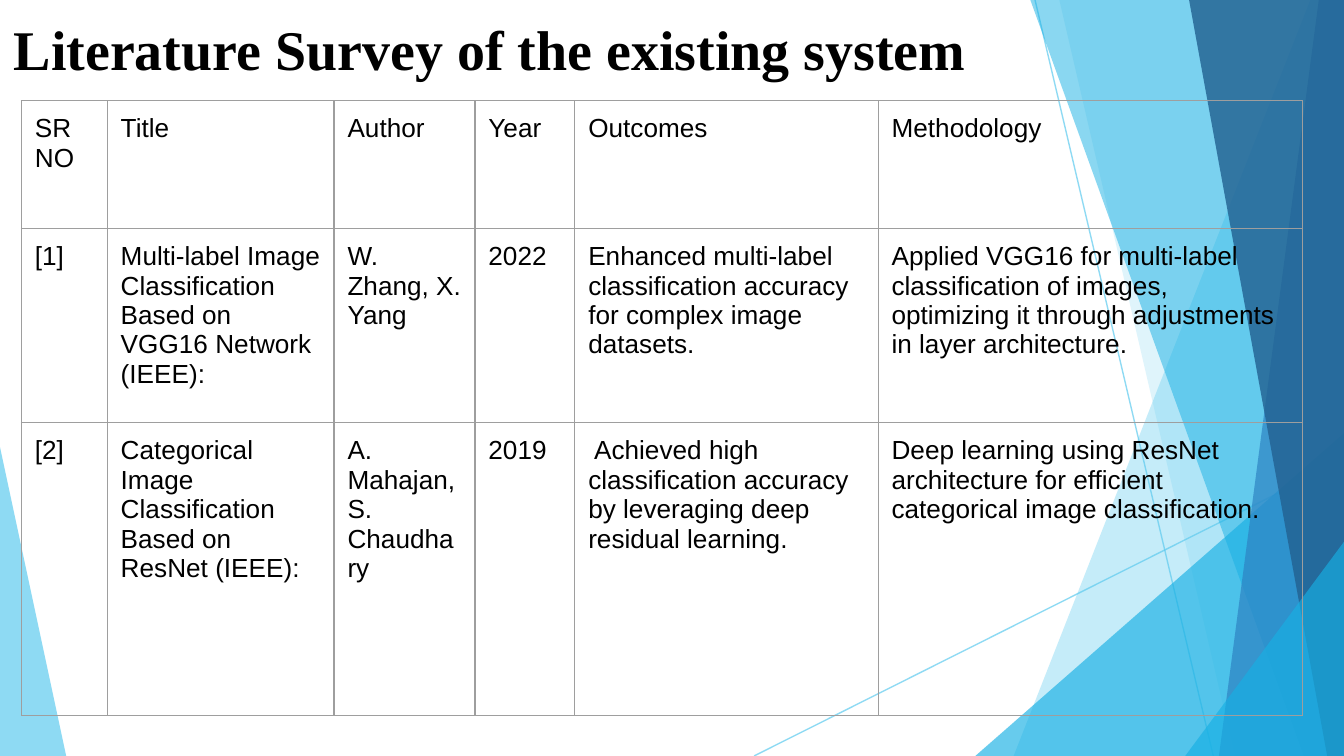
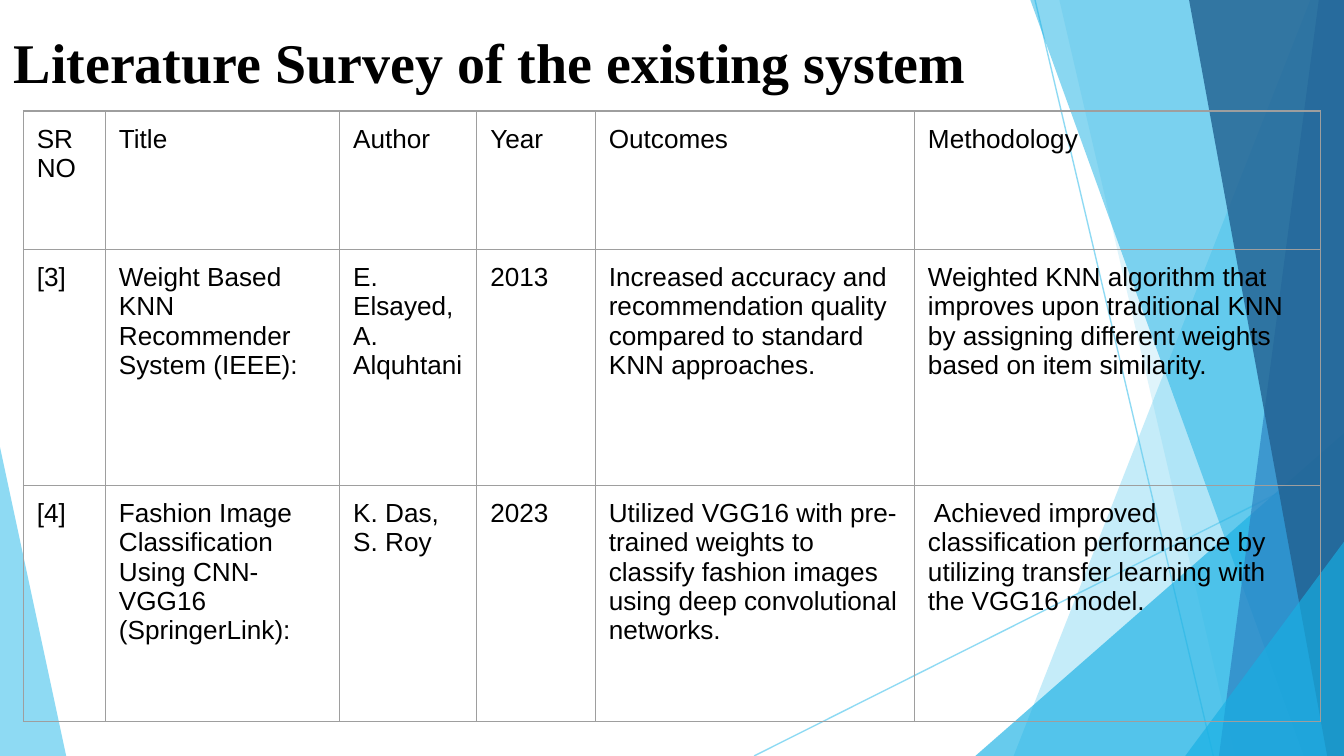
from pptx import Presentation
from pptx.dml.color import RGBColor
from pptx.enum.shapes import MSO_CONNECTOR
from pptx.enum.text import MSO_ANCHOR
from pptx.oxml import parse_xml
from pptx.oxml.ns import nsdecls, qn
from pptx.util import Pt
from lxml.etree import SubElement

WIDE, HIGH = 720, 405
SKY, CYAN, BLUE, NAVY = "5FCBEF", "17B0E4", "2E83C3", "236292"
BLACK, GREY = "000000", "9E9E9E"
TITLE = " Literature Survey of the existing system"
HEAD = ["SR NO", "Title", "Author", "Year", "Outcomes", "Methodology"]

EDGE = 721
LEAF = (SKY, 70, [(-0.5, 237), (35.5, HIGH), (-0.5, HIGH)])
RAYS = [((404, HIGH), (EDGE, 246)), ((554.5, 0), (650, HIGH))]
BANDS = [
    (SKY, 36, [(702, 0), (543, HIGH), (EDGE, HIGH), (EDGE, 0)]),
    (SKY, 20, [(567.5, 0), (661.5, HIGH), (EDGE, HIGH), (EDGE, 0)]),
    (CYAN, 65, [(522.5, HIGH), (720, 232), (EDGE, HIGH)]),
    (CYAN, 50, [(552, 0), (698.5, HIGH), (EDGE, HIGH), (EDGE, 0)]),
    (BLUE, 70, [(706.5, 0), (653, HIGH), (EDGE, HIGH), (EDGE, 0)]),
    (NAVY, 82, [(637, 0), (711, HIGH), (EDGE, HIGH), (EDGE, 0)]),
    (CYAN, 65, [(635, HIGH), (EDGE, 289), (EDGE, HIGH)]),
]

PAGES = [
    {
        "top": -7,
        "at": (11.5, 54),
        "cols": [46, 121.5, 75.5, 53.5, 162.5, 227.5],
        "rows": [68.5, 104, 157],
        "body": [
            ["[1]",
             "Multi-label Image Classification Based on VGG16 Network (IEEE):",
             "W. Zhang, X. Yang", "2022",
             "Enhanced multi-label classification accuracy for complex image datasets.",
             "Applied VGG16 for multi-label classification of images, optimizing it "
             "through adjustments in layer architecture."],
            ["[2]",
             "Categorical Image Classification Based on ResNet (IEEE):",
             "A. Mahajan, S. Chaudhary", "2019",
             " Achieved high classification accuracy by leveraging deep residual learning.",
             "Deep learning using ResNet architecture for efficient categorical image "
             "classification."],
        ],
    },
    {
        "top": 0,
        "at": (12.5, 59.5),
        "cols": [44, 125.5, 73.5, 63.5, 171, 217.5],
        "rows": [74, 126.5, 126.5],
        "body": [
            ["[3]",
             "Weight Based KNN Recommender System (IEEE):",
             "E. Elsayed, A. Alquhtani", "2013",
             "Increased accuracy and recommendation quality compared to standard KNN "
             "approaches.",
             "Weighted KNN algorithm that improves upon traditional KNN by assigning "
             "different weights based on item similarity."],
            ["[4]",
             "Fashion Image Classification Using CNN-VGG16 (SpringerLink):",
             "K. Das, S. Roy", "2023",
             "Utilized VGG16 with pre-trained weights to classify fashion images using "
             "deep convolutional networks.",
             " Achieved improved classification performance by utilizing transfer "
             "learning with the VGG16 model."],
        ],
    },
]


def paint(fill, tone, alpha=100):
    fill.solid()
    fill.fore_color.rgb = RGBColor.from_string(tone)
    if alpha < 100:
        for node in fill._xPr.iter(qn("a:srgbClr")):
            SubElement(node, qn("a:alpha"), val=str(alpha * 1000))


def write(para, text, face, size, bold=False):
    run = para.add_run()
    run.text = text
    run.font.name = face
    run.font.size = Pt(size)
    run.font.bold = bold
    paint(run.font.fill, BLACK)


def add_band(slide, tone, alpha, spots):
    first, *rest = [(Pt(x), Pt(y)) for x, y in spots]
    pen = slide.shapes.build_freeform(*first)
    pen.add_line_segments(rest, close=True)
    band = pen.convert_to_shape()
    band.shadow.inherit = False
    band.line.fill.background()
    paint(band.fill, tone, alpha)


def add_ray(slide, start, end):
    ends = [Pt(n) for n in start + end]
    ray = slide.shapes.add_connector(MSO_CONNECTOR.STRAIGHT, *ends)
    ray.line.width = Pt(0.75)
    paint(ray.line.fill, SKY, 70)
    SubElement(ray._element.spPr, qn("a:effectLst"))


def add_decor(slide):
    add_band(slide, *LEAF)
    for ray in RAYS:
        add_ray(slide, *ray)
    for band in BANDS:
        add_band(slide, *band)


def add_title(slide, top):
    frame = slide.shapes.add_textbox(0, Pt(top), Pt(648), Pt(67.5)).text_frame
    frame.word_wrap = True
    frame.vertical_anchor = MSO_ANCHOR.MIDDLE
    frame.margin_left = frame.margin_right = frame.margin_bottom = 0
    frame.margin_top = Pt(2)
    para = frame.paragraphs[0]
    para.line_spacing = 0.93
    write(para, TITLE, "Times New Roman", 30, True)


def set_cell(cell, text):
    cell.margin_left = cell.margin_right = Pt(7.2)
    cell.margin_top = cell.margin_bottom = Pt(7.2)
    cell.fill.background()
    props = cell._tc.get_or_add_tcPr()
    for spot, side in enumerate("LRTB"):
        props.insert(spot, parse_xml(
            f'<a:ln{side} {nsdecls("a")} w="{Pt(0.75)}"><a:solidFill>'
            f'<a:srgbClr val="{GREY}"/></a:solidFill></a:ln{side}>'))
    write(cell.text_frame.paragraphs[0], text, "Arial", 14)


def add_grid(slide, at, cols, rows, body):
    size = [Pt(n) for n in (*at, sum(cols), sum(rows))]
    grid = slide.shapes.add_table(len(rows), len(cols), *size).table
    grid.first_row = grid.horz_banding = False
    for col, wide in zip(grid.columns, cols):
        col.width = Pt(wide)
    for row, high, texts in zip(grid.rows, rows, [HEAD] + body):
        row.height = Pt(high)
        for cell, text in zip(row.cells, texts):
            set_cell(cell, text)


def main():
    deck = Presentation()
    deck.slide_width, deck.slide_height = Pt(WIDE), Pt(HIGH)
    for page in PAGES:
        slide = deck.slides.add_slide(deck.slide_layouts[6])
        paint(slide.background.fill, "FFFFFF")
        add_decor(slide)
        add_title(slide, page["top"])
        add_grid(slide, page["at"], page["cols"], page["rows"], page["body"])
    deck.save("out.pptx")


if __name__ == "__main__":
    main()
